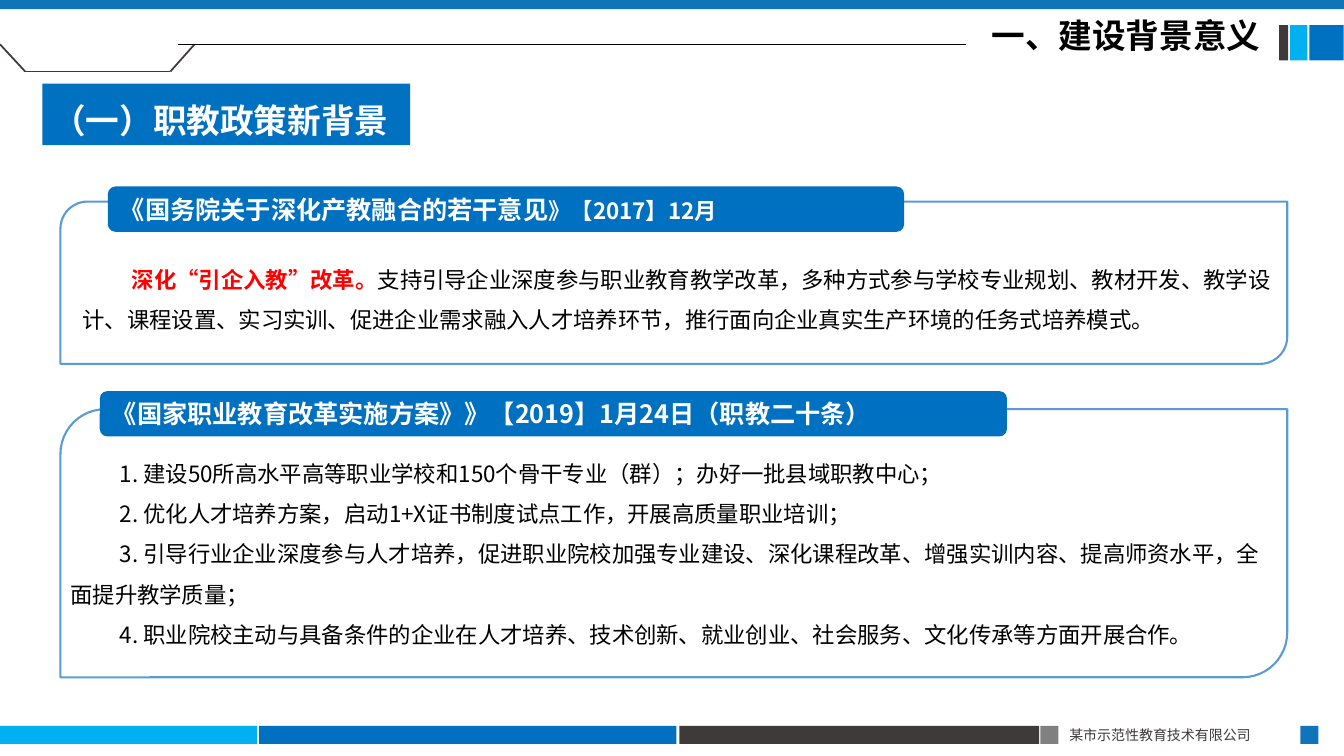
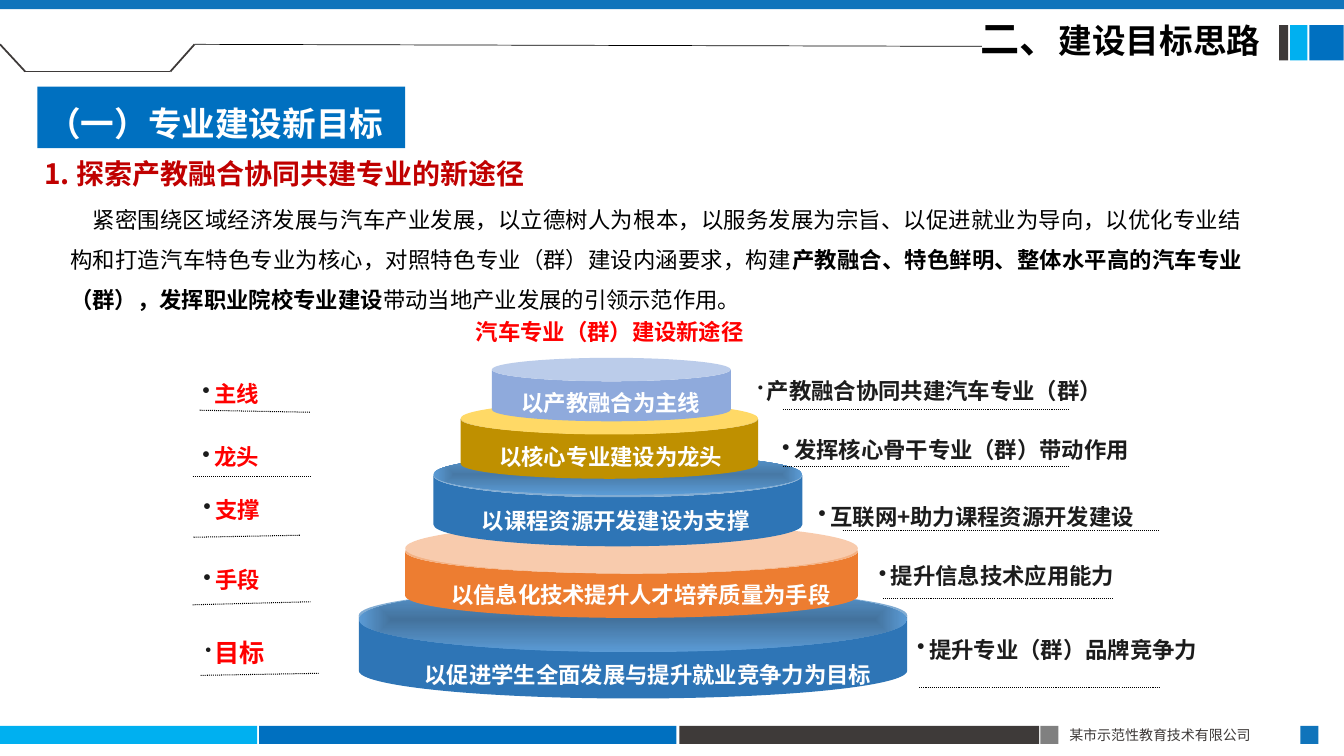
from dataclasses import dataclass
from typing import Optional

from lxml.etree import SubElement
from pptx import Presentation
from pptx.dml.color import RGBColor
from pptx.enum.dml import MSO_LINE_DASH_STYLE as Dash
from pptx.enum.shapes import MSO_CONNECTOR as Connector, MSO_SHAPE as Preset
from pptx.enum.text import MSO_ANCHOR as Anchor, PP_ALIGN as Align
from pptx.oxml.ns import qn
from pptx.util import Emu, Pt

CELL = 91440  # grid cell of a tenth of an inch
COLUMNS, ROWS = 133.33, 75


@dataclass(frozen=True)
class Theme:
    font: str = "Noto Sans CJK SC"
    black: str = "000000"
    white: str = "FFFFFF"
    blue: str = "0070C0"
    band_blue: str = "1074BB"
    sky: str = "00B0F0"
    dark: str = "3E3A39"
    gray: str = "808080"
    frame: str = "5B9BD5"
    ink: str = "1C1C1C"
    red: str = "FF0000"
    deep_red: str = "C00000"
    deep_blue: str = "2E75B6"
    ordinal: float = 28
    title: float = 24
    heading: float = 20
    subheading: float = 18
    body: float = 16
    footer: float = 10


THEME = Theme()


@dataclass(frozen=True)
class Box:
    left: float
    top: float
    width: float
    height: float


@dataclass(frozen=True)
class Span:
    text: str
    color: Optional[str] = None
    bold: Optional[bool] = None
    size: Optional[float] = None


@dataclass(frozen=True)
class Style:
    size: float = THEME.body
    color: str = THEME.black
    bold: bool = False
    align: Align = Align.LEFT
    line: Optional[float] = None
    after: Optional[float] = None
    indent: float = 0
    hanging: float = 0
    bullet_percent: int = 100


@dataclass(frozen=True)
class Policy:
    frame: Box
    band: Box
    heading: list
    body: Box
    paragraphs: list


@dataclass(frozen=True)
class Tier:
    can: Box
    bend: float
    color: str
    lid: Optional[Box]
    lid_colors: tuple
    label: str
    label_center: float
    label_top: float


@dataclass(frozen=True)
class Bullet:
    text: str
    left: float
    top: float
    color: str = THEME.ink
    size: float = THEME.body
    small_dot: bool = False


BODY = Style(line=1.5, indent=4.9)
TITLE = Style(THEME.title, bold=True, align=Align.RIGHT, line=0.9)
TAG = Style(THEME.title, THEME.white, True, line=1.3, after=6)
BAND = Style(THEME.subheading, THEME.white, True)
TIER_LABEL = Style(color=THEME.white, bold=True, align=Align.CENTER)

CHROME = [
    (Box(0, 72, 25.5, 1.8), THEME.sky),
    (Box(25.7, 72, 41.4, 1.8), THEME.blue),
    (Box(67.4, 72, 35.7, 1.8), THEME.dark),
    (Box(103.2, 72, 1.8, 1.8), THEME.gray),
    (Box(129, 72, 1.8, 1.8), THEME.band_blue),
    (Box(129.9, 2.5, 3.4, 3.5), THEME.blue),
    (Box(128, 2.5, 1.7, 3.5), THEME.sky),
    (Box(126.9, 2.5, 0.9, 3.5), THEME.dark),
    (Box(0, 0, COLUMNS, 0.9), THEME.band_blue),
]
TAB_OUTLINE = [(0, 4.4), (2.5, 7.1), (16.9, 7.1), (19.3, 4.4)]

POLICIES = [
    Policy(
        Box(6, 20, 121.7, 16.1), Box(10.7, 18.5, 79, 4.5),
        [Span("《国务院关于深化产教融合的若干意见"), Span("》【2017】12月", size=THEME.body)],
        Box(7.2, 24.6, 120.2, 8.6),
        [[Span("深化“引企入教”改革。", THEME.red, True),
          Span("支持引导企业深度参与职业教育教学改革，多种方式参与学校专业规划、教材开发、教学设计、"
               "课程设置、实习实训、促进企业需求融入人才培养环节，推行面向企业真实生产环境的任务式培养模式。")]],
    ),
    Policy(
        Box(6, 40.6, 121.7, 26.6), Box(9.9, 38.8, 90, 4.5),
        [Span("《国家职业教育改革实施方案》》【2019】1月24日（职教二十条）")],
        Box(6, 43.8, 120.9, 21.2),
        [[Span("1. 建设50所高水平高等职业学校和150个骨干专业（群）；办好一批县域职教中心；")],
         [Span("2. 优化人才培养方案，启动1+X证书制度试点工作，开展高质量职业培训；")],
         [Span("3. 引导行业企业深度参与人才培养，促进职业院校加强专业建设、深化课程改革、"
               "增强实训内容、提高师资水平，全面提升教学质量；")],
         [Span("4. 职业院校主动与具备条件的企业在人才培养、技术创新、就业创业、社会服务、"
               "文化传承等方面开展合作。")]],
    ),
]

TIERS = [  # from the base up
    Tier(Box(35.6, 58.3, 54.4, 11), 0.5, THEME.deep_blue, Box(35.6, 58.2, 54.4, 6.5),
         ("43729D", THEME.frame), "以促进学生全面发展与提升就业竞争力为目标", 64.3, 65.1),
    Tier(Box(40.2, 52.5, 44.9, 8.8), 0.5, "ED7D31", Box(40.2, 51.9, 44.9, 5),
         ("F8CBAD",), "以信息化技术提升人才培养质量为手段", 63.6, 57.2),
    Tier(Box(43, 45, 36.6, 9.2), 0.47, THEME.deep_blue, Box(43, 45, 36.6, 4.1),
         ("4779A6", THEME.frame), "以课程资源开发建设为支撑", 61.1, 49.8),
    Tier(Box(45.7, 40.1, 29.5, 7.4), 0.4, "BF9000", Box(45.7, 39.9, 29.5, 3.2),
         ("FFD966",), "以核心专业建设为龙头", 60.6, 43.5),
    Tier(Box(48.8, 35.5, 23.7, 6.3), 0.37, "8FAADC", None,
         (), "以产教融合为主线", 60.6, 38.1),
]

BULLETS = [
    Bullet("主线", 19.1, 37.2, THEME.red),
    Bullet("龙头", 19.1, 43.5, THEME.red),
    Bullet("支撑", 19.2, 48.7, THEME.red),
    Bullet("手段", 19.2, 55.7, THEME.red),
    Bullet("目标", 19.4, 62.7, THEME.red, THEME.subheading, True),
    Bullet("产教融合协同共建汽车专业（群）", 74.2, 36.9, small_dot=True),
    Bullet("发挥核心骨干专业（群）带动作用", 76.6, 42.8),
    Bullet("互联网+助力课程资源开发建设", 80.2, 49.4),
    Bullet("提升信息技术应用能力", 86.2, 55.3),
    Bullet("提升专业（群）品牌竞争力", 90, 62.6),
]
DOTTED_RULES = [
    ((19.8, 40.7), (30.8, 40.9)), ((19.1, 47.3), (30.8, 47.3)),
    ((19.2, 53.3), (29.8, 53.1)), ((19.1, 60), (30.8, 59.7)),
    ((19.9, 67), (31.6, 66.8)), ((77.7, 40.6), (106.1, 40.6)),
    ((77.7, 46.3), (106.1, 46.3)), ((83.6, 52.6), (115.1, 52.6)),
    ((87.6, 59.4), (110.4, 59.4)), ((91.2, 68.2), (115.1, 68.2)),
]


def cells(count: float) -> Emu:
    return Emu(round(count * CELL))


def place(box: Box) -> tuple:
    return tuple(cells(n) for n in (box.left, box.top, box.width, box.height))


def rgb(color: str) -> RGBColor:
    return RGBColor.from_string(color)


def add_bullet(properties, style: Style) -> None:
    color = SubElement(properties, qn("a:buClr"))
    SubElement(color, qn("a:srgbClr"), val=THEME.ink)
    SubElement(properties, qn("a:buSzPct"), val=str(style.bullet_percent * 1000))
    SubElement(properties, qn("a:buChar"), char="•")


def write(frame, paragraphs: list, style: Style, anchor=Anchor.TOP) -> None:
    frame.word_wrap = True
    frame.vertical_anchor = anchor
    for index, spans in enumerate(paragraphs):
        paragraph = frame.add_paragraph() if index else frame.paragraphs[0]
        paragraph.alignment = style.align
        if style.line:
            paragraph.line_spacing = style.line
        if style.after:
            paragraph.space_after = Pt(style.after)
        properties = paragraph._p.get_or_add_pPr()
        properties.set("marL", str(cells(style.hanging)))
        properties.set("indent", str(cells(style.indent - style.hanging)))
        if style.hanging:
            add_bullet(properties, style)
        font = paragraph.font
        font.name, font.size, font.bold = THEME.font, Pt(style.size), style.bold
        font.color.rgb = rgb(style.color)
        SubElement(properties.find(qn("a:defRPr")), qn("a:ea"), typeface=THEME.font)
        for span in spans:
            run = paragraph.add_run()
            run.text = span.text
            if span.color:
                run.font.color.rgb = rgb(span.color)
            if span.bold is not None:
                run.font.bold = span.bold
            if span.size:
                run.font.size = Pt(span.size)


def add_text(slide, box: Box, paragraphs: list, style: Style):
    shape = slide.shapes.add_textbox(*place(box))
    write(shape.text_frame, paragraphs, style)
    return shape


def add_block(slide, preset: Preset, box: Box, fill: Optional[str] = None):
    shape = slide.shapes.add_shape(preset, *place(box))
    shape.shadow.inherit = False
    shape.line.fill.background()
    if fill:
        shape.fill.solid()
        shape.fill.fore_color.rgb = rgb(fill)
    else:
        shape.fill.background()
    return shape


def add_line(slide, start: tuple, end: tuple, color: str, width: float, dash=None) -> None:
    ends = [cells(n) for n in (*start, *end)]
    line = slide.shapes.add_connector(Connector.STRAIGHT, *ends)
    line.line.color.rgb = rgb(color)
    line.line.width = Pt(width)
    if dash:
        line.line.dash_style = dash
    SubElement(line._element.spPr, qn("a:effectLst"))


def fill_from_center(shape, colors: tuple) -> None:
    shape.fill.gradient()
    for stop, color in zip(shape.fill.gradient_stops, colors):
        stop.color.rgb = rgb(color)
    gradient = shape._element.spPr.find(qn("a:gradFill"))
    gradient.remove(gradient.find(qn("a:lin")))
    outline = SubElement(gradient, qn("a:path"), {"path": "shape"})
    SubElement(outline, qn("a:fillToRect"), l="50000", t="50000", r="50000", b="50000")


def add_base(presentation, title: list, rule: tuple, tag: str, tag_corner: tuple):
    """Slide with bands, footer, title and section tag."""
    slide = presentation.slides.add_slide(presentation.slide_layouts[6])
    for box, color in CHROME:
        add_block(slide, Preset.RECTANGLE, box, color)
    add_text(slide, Box(105.1, 71.6, 24, 2.7), [[Span("某市示范性教育技术有限公司")]],
             Style(THEME.footer, THEME.dark))
    for start, end in zip(TAB_OUTLINE, TAB_OUTLINE[1:]):
        add_line(slide, start, end, THEME.dark, 1.25)
    add_line(slide, *rule, THEME.black, 0.5)
    heading = add_text(slide, Box(92.5, 1.9, 33.5, 5), [title], TITLE)
    heading.text_frame.margin_top = 0
    block = add_block(slide, Preset.RECTANGLE, Box(*tag_corner, 36.5, 6.1), THEME.blue)
    write(block.text_frame, [[Span(tag)]], TAG, Anchor.MIDDLE)
    return slide


def add_policy(slide, policy: Policy) -> None:
    add_text(slide, policy.body, policy.paragraphs, BODY)
    frame = add_block(slide, Preset.ROUND_2_DIAG_RECTANGLE, policy.frame)
    frame.line.color.rgb = rgb(THEME.frame)
    frame.line.width = Pt(1.5)
    band = add_block(slide, Preset.ROUNDED_RECTANGLE, policy.band, THEME.blue)
    write(band.text_frame, [policy.heading], BAND, Anchor.MIDDLE)


def add_tier(slide, tier: Tier) -> None:
    can = add_block(slide, Preset.CAN, tier.can, tier.color)
    can.adjustments[0] = tier.bend
    if tier.lid:
        lid = add_block(slide, Preset.OVAL, tier.lid, tier.lid_colors[0])
        if len(tier.lid_colors) > 1:
            fill_from_center(lid, tier.lid_colors)
    width = 53.6
    add_text(slide, Box(tier.label_center - width / 2, tier.label_top, width, 3.7),
             [[Span(tier.label)]], TIER_LABEL)


def build_policy_slide(presentation) -> None:
    slide = add_base(presentation, [Span("一、建设背景意义")], ((17.7, 4.4), (95.8, 4.4)),
                     "（一）职教政策新背景", (4.2, 8.3))
    for policy in POLICIES:
        add_policy(slide, policy)


def build_goal_slide(presentation) -> None:
    slide = add_base(presentation, [Span("二、", size=THEME.ordinal), Span("建设目标思路")],
                     ((19.3, 4.4), (97.4, 4.6)), "（一）专业建设新目标", (3.7, 8.6))
    # Introduction
    add_text(slide, Box(3.4, 15, 52.7, 4.4), [[Span("1. 探索产教融合协同共建专业的新途径")]],
             Style(THEME.heading, THEME.deep_red, True))
    add_text(slide, Box(6, 18.6, 118.3, 13.1), [[
        Span("紧密围绕区域经济发展与汽车产业发展，以立德树人为根本，以服务发展为宗旨、以促进就业为导向，"
             "以优化专业结构和打造汽车特色专业为核心，对照特色专业（群）建设内涵要求，构建"),
        Span("产教融合、特色鲜明、整体水平高的汽车专业（群），发挥职业院校专业建设", bold=True),
        Span("带动当地产业发展的引领示范作用。")]],
        Style(align=Align.JUSTIFY, line=1.5, indent=2.2))
    # Stacked tiers
    add_text(slide, Box(39.4, 31.1, 42.2, 3.7), [[Span("汽车专业（群）建设新途径")]],
             Style(color=THEME.red, bold=True, align=Align.CENTER))
    for tier in TIERS:
        add_tier(slide, tier)
    # Notes on both sides
    for start, end in DOTTED_RULES:
        add_line(slide, start, end, THEME.black, 0.75, Dash.ROUND_DOT)
    for bullet in BULLETS:
        style = Style(bullet.size, bullet.color, True,
                      hanging=0.9 if bullet.small_dot else 1.2,
                      bullet_percent=70 if bullet.small_dot else 100)
        add_text(slide, Box(bullet.left, bullet.top, 38.6, 3.7), [[Span(bullet.text)]], style)


def main() -> None:
    presentation = Presentation()
    presentation.slide_width, presentation.slide_height = cells(COLUMNS), cells(ROWS)
    build_policy_slide(presentation)
    build_goal_slide(presentation)
    presentation.save("out.pptx")


if __name__ == "__main__":
    main()
